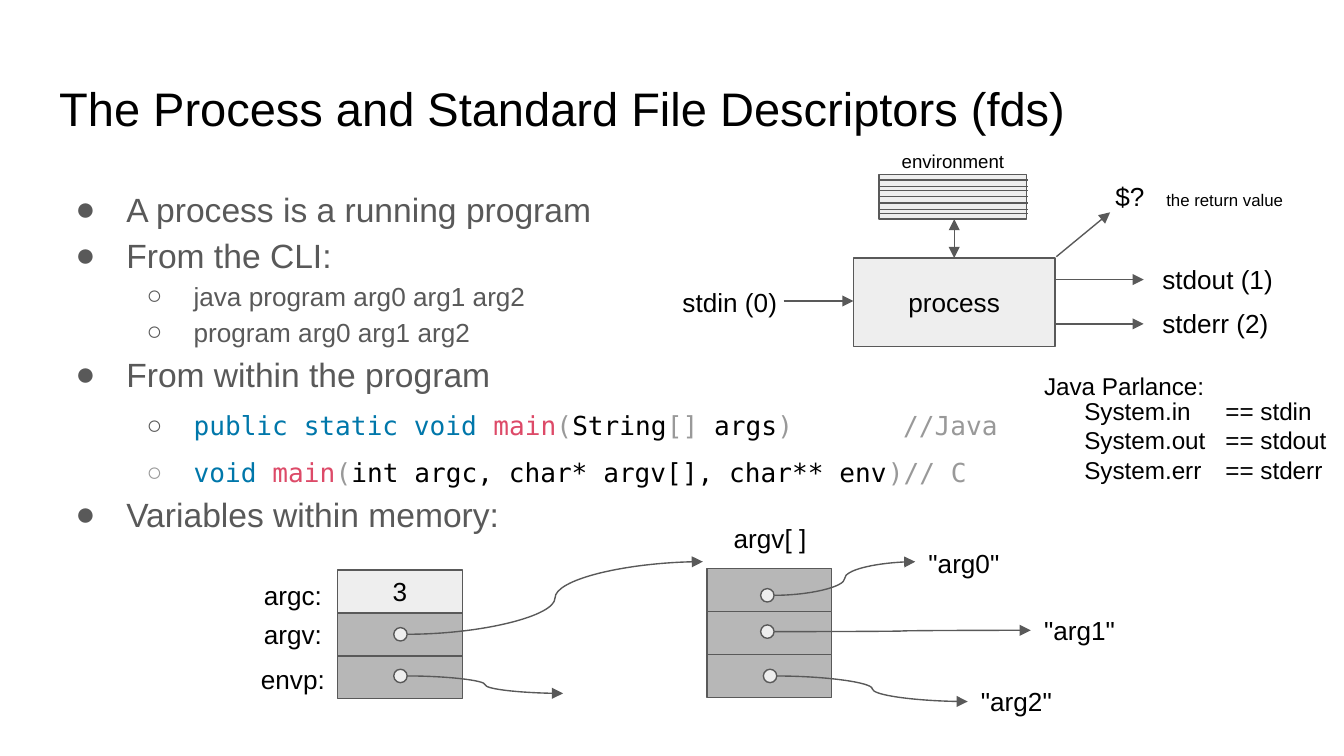
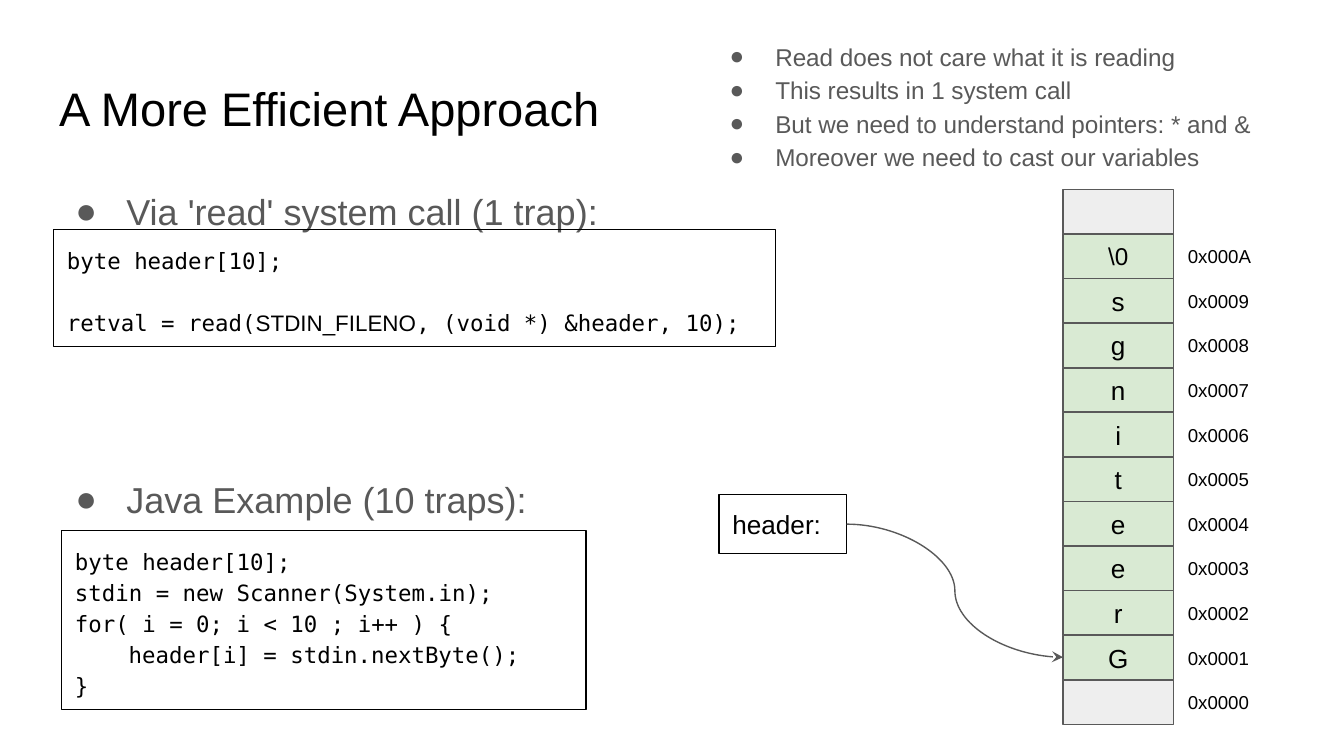
from dataclasses import dataclass
from typing import NamedTuple

from lxml import etree
from pptx import Presentation
from pptx.dml.color import RGBColor
from pptx.enum.shapes import MSO_CONNECTOR, MSO_SHAPE
from pptx.enum.text import MSO_ANCHOR, MSO_AUTO_SIZE, PP_ALIGN
from pptx.oxml.ns import qn
from pptx.util import Inches, Pt

# Shared style
BLACK = RGBColor(0x00, 0x00, 0x00)
GRAY = RGBColor(0x59, 0x59, 0x59)
COMMENT = RGBColor(0x99, 0x99, 0x99)
KEYWORD = RGBColor(0x00, 0x77, 0xAA)
FUNCTION = RGBColor(0xDD, 0x4A, 0x68)
PALE = RGBColor(0xEE, 0xEE, 0xEE)
SILVER = RGBColor(0xB7, 0xB7, 0xB7)
GREEN = RGBColor(0xD9, 0xEA, 0xD3)
SANS, MONO = "Arial", "DejaVu Sans Mono"
RECTANGLE, ELLIPSE = MSO_SHAPE.RECTANGLE, MSO_SHAPE.OVAL
STRAIGHT, CURVE = MSO_CONNECTOR.STRAIGHT, MSO_CONNECTOR.CURVE
LEFT, CENTER = PP_ALIGN.LEFT, PP_ALIGN.CENTER
TOP, MIDDLE = MSO_ANCHOR.TOP, MSO_ANCHOR.MIDDLE
NO_AUTOFIT = MSO_AUTO_SIZE.NONE
LINE_WIDTH = Pt(0.75)
INSET = Inches(0.1)


class Area(NamedTuple):
    left: float
    top: float
    width: float
    height: float


TITLE_AREA = Area(0.34, 0.49, 9.32, 0.63)
BODY_AREA = Area(0.34, 1.26, 9.32, 3.74)


class Span(NamedTuple):
    text: str
    color: RGBColor | None = None
    font: str | None = None
    size: float | None = None
    tracking: float = 0


@dataclass
class Para:
    content: str | tuple[Span, ...]
    size: float = 14
    color: RGBColor = BLACK
    font: str = SANS
    align: PP_ALIGN = LEFT
    spacing: float = 1.0
    before: float = 0
    level: int = 0
    margin: float = 0
    hang: float = 0
    bullet: str = ""
    bullet_color: RGBColor = GRAY
    tabs: tuple[float, ...] = ()


@dataclass
class Link:
    start: tuple[float, float]
    end: tuple[float, float]
    kind: MSO_CONNECTOR = STRAIGHT
    head: str = ""
    tail: str = "triangle"


# Text
def point(text: str, size: float = 18, before: float = 0, hang: float = 0.38) -> Para:
    return Para(text, size, GRAY, spacing=1.15, before=before, margin=0.5, hang=hang, bullet="●")


def subpoint(content: str | tuple[Span, ...], **changes) -> Para:
    style = dict(color=GRAY, spacing=1.15, level=1, margin=1, hang=0.35, bullet="○")
    return Para(content, **(style | changes))


def code(content: str | tuple[Span, ...], before: float = 0, margin: float = 0) -> Para:
    return Para(content, 12, font=MONO, spacing=1.15, before=before, margin=margin)


def add_property(parent, tag: str, **attributes: str):
    return etree.SubElement(parent, qn(tag), attributes)


def write_para(paragraph, para: Para) -> None:
    paragraph.alignment = para.align
    paragraph.level = para.level
    paragraph.line_spacing = para.spacing
    paragraph.space_before = Pt(para.before)
    properties = paragraph._p.get_or_add_pPr()
    properties.set("marL", str(Inches(para.margin)))
    properties.set("indent", str(-Inches(para.hang)))
    if para.bullet:
        color = add_property(properties, "a:buClr")
        add_property(color, "a:srgbClr", val=str(para.bullet_color))
        add_property(properties, "a:buFont", typeface=SANS)
        add_property(properties, "a:buChar", char=para.bullet)
    if para.tabs:
        stops = add_property(properties, "a:tabLst")
        for stop in para.tabs:
            add_property(stops, "a:tab", pos=str(Inches(stop)), algn="l")
    paragraph.font.size = Pt(para.size)
    paragraph.font.name = para.font
    paragraph.font.color.rgb = para.color
    spans = (Span(para.content),) if isinstance(para.content, str) else para.content
    for span in spans:
        run = paragraph.add_run()
        run.text = span.text
        if span.color is not None:
            run.font.color.rgb = span.color
        if span.font:
            run.font.name = span.font
        if span.size:
            run.font.size = Pt(span.size)
        if span.tracking:
            run._r.get_or_add_rPr().set("spc", str(round(span.tracking * 100)))


def write_text(shape, paras: list[Para], anchor: MSO_ANCHOR = TOP) -> None:
    frame = shape.text_frame
    frame.word_wrap = True
    frame.auto_size = NO_AUTOFIT
    frame.vertical_anchor = anchor
    frame.margin_left = frame.margin_right = INSET
    frame.margin_top = frame.margin_bottom = INSET
    for index, para in enumerate(paras):
        write_para(frame.add_paragraph() if index else frame.paragraphs[0], para)


# Shapes
def add_text(page, area: Area, paras: list[Para], anchor: MSO_ANCHOR = TOP) -> None:
    write_text(page.shapes.add_textbox(*map(Inches, area)), paras, anchor)


def add_box(page, area: Area, fill: RGBColor | None, paras: list[Para] | None = None,
            line: RGBColor = GRAY, anchor: MSO_ANCHOR = MIDDLE, kind: MSO_SHAPE = RECTANGLE) -> None:
    box = page.shapes.add_shape(kind, *map(Inches, area))
    box.shadow.inherit = False
    if fill is None:
        box.fill.background()
    else:
        box.fill.solid()
        box.fill.fore_color.rgb = fill
    box.line.color.rgb = line
    box.line.width = LINE_WIDTH
    if paras:
        write_text(box, paras, anchor)


def add_link(page, link: Link) -> None:
    connector = page.shapes.add_connector(link.kind, *map(Inches, link.start + link.end))
    connector.line.color.rgb = GRAY
    connector.line.width = LINE_WIDTH
    line = connector.line._get_or_add_ln()
    for tag, arrow in (("a:headEnd", link.head), ("a:tailEnd", link.tail)):
        if arrow:
            add_property(line, tag, type=arrow, w="med", len="med")
    add_property(connector._element.spPr, "a:effectLst")


def add_page(deck, title: str, points: list[Para]):
    page = deck.slides.add_slide(deck.slide_layouts[1])
    contents = ((TITLE_AREA, [Para(title, 25.2)]), (BODY_AREA, points))
    for holder, (area, paras) in zip(page.placeholders, contents):
        holder.left, holder.top, holder.width, holder.height = map(Inches, area)
        write_text(holder, paras)
    return page


# Slide 1
def add_process_page(deck) -> None:
    java_main = (
        Span("public static void ", KEYWORD), Span("main", FUNCTION), Span("("),
        Span("String", BLACK), Span("[]"), Span(" args", BLACK), Span(")\t//Java"),
    )
    c_main = (
        Span("void ", KEYWORD), Span("main", FUNCTION), Span("("),
        Span("int argc, char* argv[], char** env", BLACK), Span(")// C"),
    )
    listing = dict(color=COMMENT, font=MONO, spacing=1.5)
    page = add_page(deck, "The Process and Standard File Descriptors (fds)", [
        point("A process is a running program"),
        point("From the CLI:"),
        subpoint("java program arg0 arg1 arg2"),
        subpoint("program arg0 arg1 arg2"),
        point("From within the program"),
        subpoint(java_main, tabs=(5.28, 6.28), **listing),
        subpoint(c_main, bullet_color=COMMENT, **listing),
        point("Variables within memory:"),
    ])

    # Process with its streams and environment
    add_box(page, Area(6.35, 1.92, 1.5, 0.66), PALE, [Para("process", align=CENTER)])
    add_box(page, Area(6.54, 1.3, 1.1, 0.33), PALE)
    for y in (1.34, 1.39, 1.42, 1.46, 1.51, 1.56, 1.59):
        add_link(page, Link((6.54, y), (7.65, y), tail=""))
    for link in (
        Link((5.83, 2.24), (6.35, 2.24)),
        Link((7.85, 2.08), (8.51, 2.08)),
        Link((7.85, 2.41), (8.51, 2.41)),
        Link((7.86, 1.91), (8.26, 1.58)),
        Link((7.1, 1.63), (7.1, 1.92), head="triangle"),
    ):
        add_link(page, link)
    for text, left, top in (("stdin (0)", 4.98, 2.03), ("stdout (1)", 8.55, 1.86),
                            ("stderr (2)", 8.55, 2.19)):
        add_text(page, Area(left, top, 1.04, 0.44), [Para(text)])
    return_value = (Span("$?"), Span(" ", tracking=7.8), Span("the return value", size=9))
    add_text(page, Area(8.2, 1.24, 1.58, 0.44), [Para(return_value)])
    add_text(page, Area(7.67, 2.66, 1.58, 0.42), [Para("Java Parlance:", 13)])
    streams = (("in", "stdin"), ("out", "stdout"), ("err", "stderr"))
    add_text(page, Area(7.97, 2.85, 2.03, 0.86),
             [Para(f"System.{name}\t == {stream}", 13) for name, stream in streams])

    # Memory cells
    cell_width, cell_height = 0.93, 0.32
    for row in range(3):
        add_box(page, Area(5.26, 4.23 + row * cell_height, cell_width, cell_height), SILVER)
        count = [Para("3", align=CENTER)] if row == 0 else None
        add_box(page, Area(2.51, 4.24 + row * cell_height, cell_width, cell_height),
                SILVER if row else PALE, count)
    for text, left, top, size in (
        ("argc:", 1.66, 4.24, 14), ("argv:", 1.66, 4.53, 14), ("envp:", 1.66, 4.86, 14),
        ("argv[ ]", 5.21, 3.81, 14), ("environment", 6.57, 1.01, 10),
    ):
        add_text(page, Area(left, top, 1.04, 0.38), [Para(text, size, align=CENTER)], MIDDLE)
    for text, left, top in (('"arg0"', 6.81, 3.97), ('"arg1"', 7.67, 4.47), ('"arg2"', 7.2, 5)):
        add_text(page, Area(left, top, 0.77, 0.44), [Para(text)])

    # Pointers: each starts at the right edge of its dot
    dot = 0.1
    for start, end in (
        ((5.76, 4.43), (6.81, 4.18)),
        ((5.76, 4.7), (7.67, 4.69)),
        ((5.78, 5.03), (7.2, 5.22)),
        ((3.03, 4.72), (5.23, 4.18)),
        ((3.03, 5.03), (4.19, 5.16)),
    ):
        add_link(page, Link(start, end, CURVE))
        add_box(page, Area(start[0] - dot, start[1] - dot / 2, dot, dot), PALE, kind=ELLIPSE)


# Slide 2
def add_read_page(deck) -> None:
    page = add_page(deck, "A More Efficient Approach", [
        point("Via 'read' system call (1 trap):", 19.3),
        point("Java Example (10 traps):", 19.3, before=128),
    ])
    read_call = (Span("retval = read("), Span("STDIN_FILENO", font=SANS),
                 Span(", (void *) &header, 10);"))
    java_code = [
        code("byte header[10];"),
        code("stdin = new Scanner(System.in);"),
        code("for( i = 0; i < 10 ; i++ ) {"),
        code("header[i] = stdin.nextByte();", margin=0.4),
        code("}"),
    ]
    for area, paras in (
        (Area(0.46, 3.95, 3.9, 1.33), java_code),
        (Area(0.4, 1.71, 5.37, 0.87), [code("byte header[10];"), code(read_call, before=16.5)]),
        (Area(5.35, 3.68, 0.95, 0.44), [Para("header:")]),
    ):
        add_box(page, area, None, paras, BLACK, TOP)
    remarks = ("Read does not care what it is reading", "This results in 1 system call",
               "But we need to understand pointers: * and &",
               "Moreover we need to cast our variables")
    add_text(page, Area(5.17, 0.18, 4.81, 1.18),
             [point(remark, 13, hang=0.34) for remark in remarks])

    # Memory column, highest address on top
    cells = ["", r"\0", *"sgniteer", "G", ""]
    width, height, pitch = 0.82, 0.33, 3.65 / 11
    for row, text in enumerate(cells):
        top = 1.41 + row * pitch
        letter = [Para(text, 13 if row == 1 else 14, align=CENTER)] if text else None
        add_box(page, Area(7.91, top, width, height), GREEN if text else PALE, letter)
        if row:
            address = f"0x{len(cells) - 1 - row:04X}"
            add_text(page, Area(8.74, top, width, height), [Para(address, 10)], MIDDLE)
    add_link(page, Link((6.3, 3.9), (7.91, 4.89), CURVE, tail="stealth"))


def main() -> None:
    deck = Presentation()
    deck.slide_width = Inches(10)
    deck.slide_height = Inches(10 * 9 / 16)
    add_process_page(deck)
    add_read_page(deck)
    deck.save("out.pptx")


if __name__ == "__main__":
    main()
